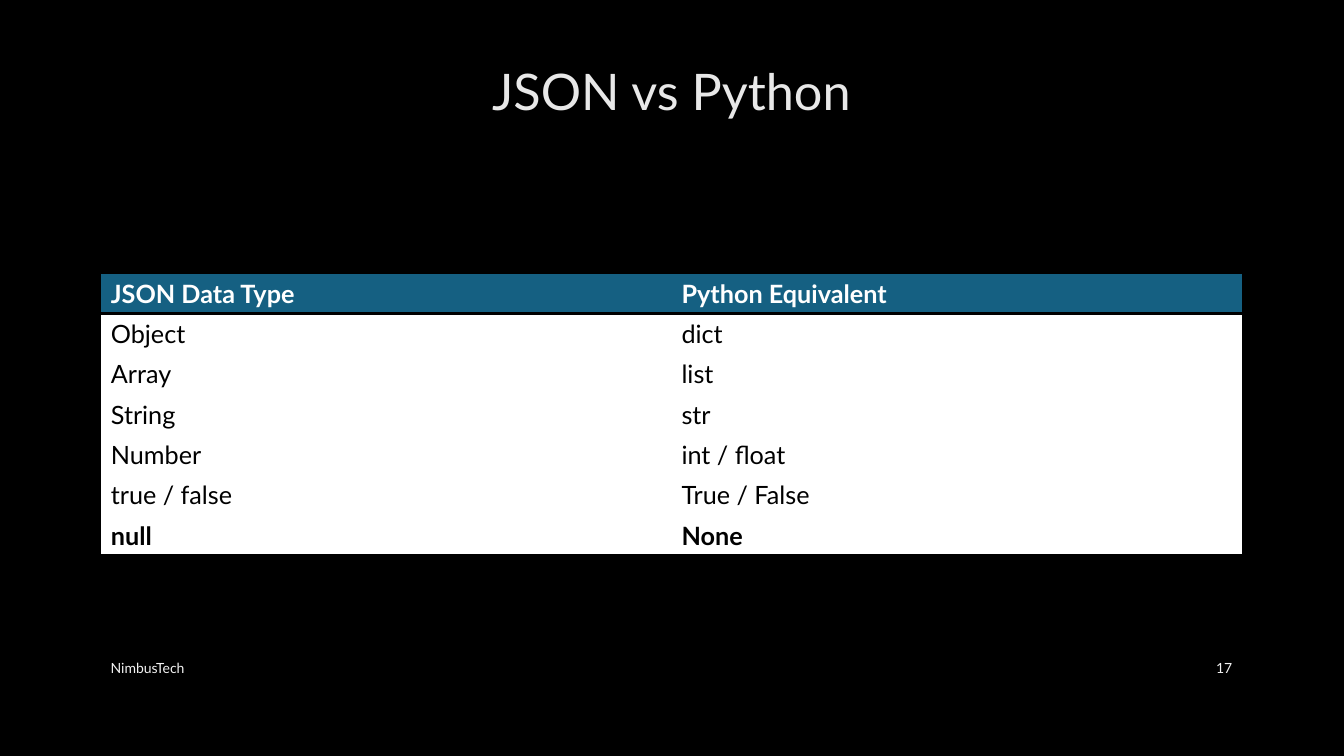
from pptx import Presentation
from pptx.dml.color import RGBColor
from pptx.enum.text import MSO_ANCHOR as Anchor, PP_ALIGN as Align
from pptx.oxml import parse_xml
from pptx.oxml.ns import nsdecls
from pptx.util import Inches, Pt


def color(value):
    return RGBColor.from_string(value)


def write(frame, text, size, text_color, bold=False, align=Align.LEFT):
    frame.word_wrap = True
    frame.vertical_anchor = Anchor.MIDDLE
    paragraph = frame.paragraphs[0]
    paragraph.text = text
    paragraph.alignment = align
    paragraph.font.name = "Lato"
    paragraph.font.size = Pt(size)
    paragraph.font.bold = bold
    paragraph.font.color.rgb = color(text_color)


presentation = Presentation()
presentation.slide_width = Inches(13.33)
presentation.slide_height = Inches(7.5)
slide = presentation.slides.add_slide(presentation.slide_layouts[6])
slide.background.fill.solid()
slide.background.fill.fore_color.rgb = color("000000")

title = slide.shapes.add_textbox(Inches(1), Inches(0.67), Inches(11.32), Inches(1.06))
title.text_frame.margin_top = 0
title.text_frame.margin_bottom = Inches(0.6)
write(title.text_frame, "JSON vs Python", 36, "E8E8E8", align=Align.CENTER)

type_pairs = [
    ("JSON Data Type", "Python Equivalent"),
    ("Object", "dict"),
    ("Array", "list"),
    ("String", "str"),
    ("Number", "int / float"),
    ("true / false", "True / False"),
    ("null", "None"),
]
last = len(type_pairs) - 1
table = slide.shapes.add_table(
    len(type_pairs), 2, Inches(1), Inches(2.71), Inches(11.32), Inches(0.4 * len(type_pairs))
).table
table.horz_banding = False

for row, pair in enumerate(type_pairs):
    for column, text in enumerate(pair):
        cell = table.cell(row, column)
        cell.fill.solid()
        cell.fill.fore_color.rgb = color("156082" if row == 0 else "FFFFFF")
        write(cell.text_frame, text, 18, "FFFFFF" if row == 0 else "000000", row in (0, last))
        cell.vertical_anchor = Anchor.MIDDLE
        ruled = {"lnT": row in (0, 1), "lnB": row in (0, last)}
        for position, side in enumerate(("lnL", "lnR", "lnT", "lnB")):
            line = '<a:solidFill><a:srgbClr val="000000"/></a:solidFill>' if ruled.get(side) else "<a:noFill/>"
            border = parse_xml(f'<a:{side} {nsdecls("a")} w="{Pt(2)}">{line}</a:{side}>')
            cell._tc.get_or_add_tcPr().insert(position, border)

footers = [
    (1, 7.3, "NimbusTech", Align.LEFT),
    (11.5, 0.82, "17", Align.RIGHT),
]
for left, width, text, align in footers:
    footer = slide.shapes.add_textbox(Inches(left), Inches(6.43), Inches(width), Inches(0.4))
    write(footer.text_frame, text, 10, "F2F2F2", align=align)

presentation.save("out.pptx")
